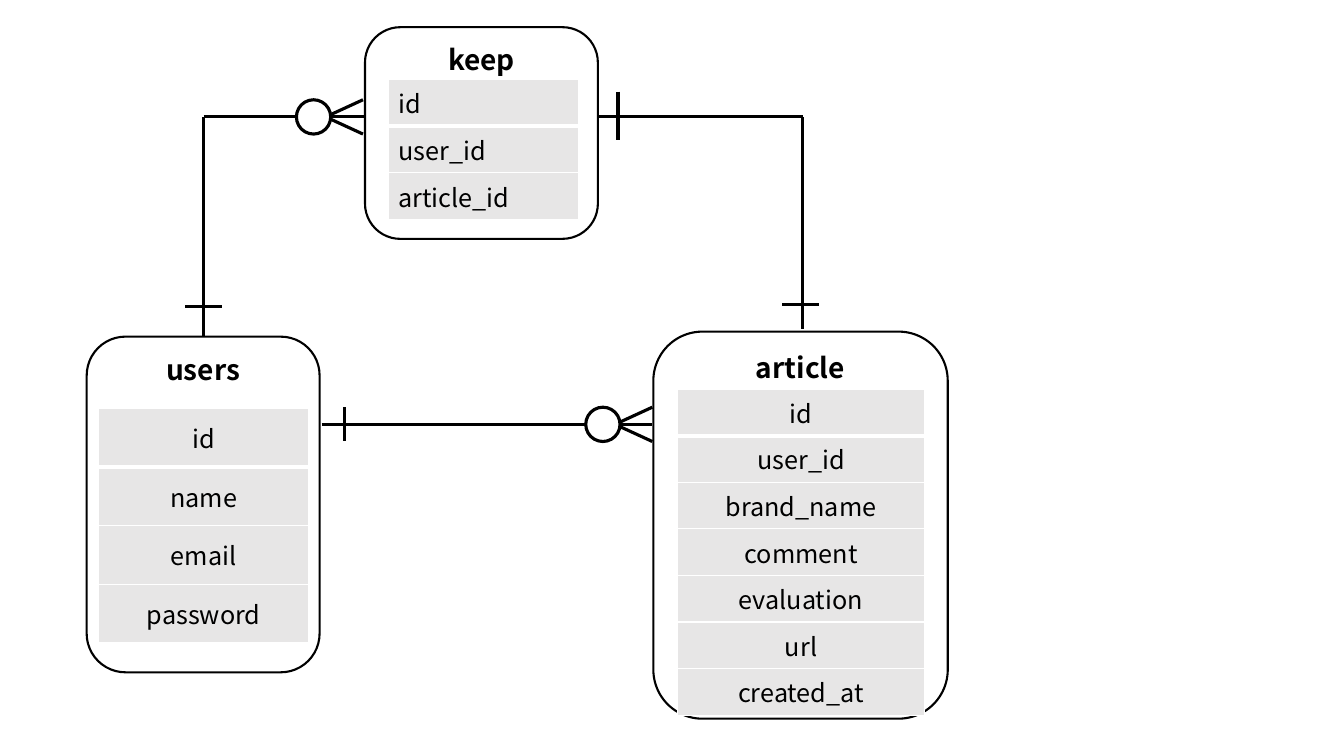
from lxml import etree
from pptx import Presentation, util as u
from pptx.dml.color import RGBColor
from pptx.enum import shapes, text as t
from pptx.oxml import ns

COLORS = {"ink": "000000", "paper": "FFFFFF", "row": "E7E6E6"}
FONT = "Noto Sans CJK JP"
COLOR = {name: RGBColor.from_string(value) for name, value in COLORS.items()}

presentation = Presentation()
presentation.slide_width, presentation.slide_height = u.Inches(13.33), u.Inches(7.5)
slide = presentation.slides.add_slide(presentation.slide_layouts[6])

# Square grid with 75 rows over the slide's height
CELL = presentation.slide_height / 75


def write(frame, words, size=18, bold=False, align=t.PP_ALIGN.CENTER):
    paragraph = frame.paragraphs[0]
    paragraph.alignment = align
    run = paragraph.add_run()
    run.text = words
    run.font.name, run.font.size, run.font.bold = FONT, u.Pt(size), bold
    run.font.color.rgb = COLOR["ink"]


def connect(*ends):
    line = slide.shapes.add_connector(
        shapes.MSO_CONNECTOR.STRAIGHT, *[round(end * CELL) for end in ends])
    line.line.color.rgb = COLOR["ink"]
    line.line.width = u.Pt(2.25)
    etree.SubElement(line._element.spPr, ns.qn("a:effectLst"))


# Entities: name, box, table, alignment, anchor, fields
CENTER, LEFT = t.PP_ALIGN.CENTER, t.PP_ALIGN.LEFT
MIDDLE, TOP = t.MSO_ANCHOR.MIDDLE, t.MSO_ANCHOR.TOP
entities = [
    ("article", (64.8, 32.9, 29.2, 38.4), (67.2, 38.6, 24.5, 28), CENTER, MIDDLE,
     ["id", "user_id", "brand_name", "comment", "evaluation", "url", "created_at"]),
    ("users", (8.6, 33.4, 23.1, 33.3), (9.8, 40.5, 20.8, 23.3), CENTER, MIDDLE,
     ["id", "name", "email", "password"]),
    ("keep", (36.2, 2.7, 23.1, 21), (38.5, 7.9, 18.9, 13.5), LEFT, TOP,
     ["id", "user_id", "article_id"]),
]
for name, box, area, align, anchor, fields in entities:
    entity = slide.shapes.add_shape(
        shapes.MSO_SHAPE.ROUNDED_RECTANGLE, *[round(side * CELL) for side in box])
    entity.shadow.inherit = False
    entity.fill.background()
    entity.line.color.rgb = COLOR["ink"]
    entity.line.width = u.Pt(1.5)
    entity.text_frame.vertical_anchor = TOP
    write(entity.text_frame, name, size=20, bold=True)

    table = slide.shapes.add_table(
        len(fields), 1, *[round(side * CELL) for side in area]).table
    table.horz_banding = False
    for index, field in enumerate(fields):
        cell = table.cell(index, 0)
        cell.vertical_anchor = anchor
        write(cell.text_frame, field, align=align)
        # White borders, thick below the first field
        thick = {0: "B", 1: "T"}.get(index)
        for side in "LRTB":
            border = etree.SubElement(
                cell._tc.get_or_add_tcPr(), ns.qn("a:ln" + side),
                w=str(u.Pt(3 if side == thick else 1)))
            fill = etree.SubElement(border, ns.qn("a:solidFill"))
            etree.SubElement(fill, ns.qn("a:srgbClr"), val=COLORS["paper"])
        cell.fill.solid()
        cell.fill.fore_color.rgb = COLOR["row"]

# Relations between the entities
USERS_X, ARTICLE_X, KEEP_Y, LOWER_Y = 20.2, 79.6, 11.6, 42.1
connect(31.9, LOWER_Y, 64.7, LOWER_Y)
connect(USERS_X, 33.4, USERS_X, KEEP_Y)
connect(USERS_X, KEEP_Y, 36.2, KEEP_Y)
connect(59.3, KEEP_Y, ARTICLE_X, KEEP_Y)
connect(ARTICLE_X, 32.6, ARTICLE_X, KEEP_Y)

# "One" marks: centre and half lengths across and down
for x, y, across, down in [(34.2, LOWER_Y, 0, 1.7), (61.3, 11.5, 0, 2.4),
                           (USERS_X, 30.4, 1.8, 0), (79.4, 30.2, 1.8, 0)]:
    connect(x - across, y - down, x + across, y + down)

# "Zero or many" marks: crow's foot and circle
SPREAD = 1.7
for x, y in [(64.7, LOWER_Y), (36, KEEP_Y)]:
    for offset in (-SPREAD, SPREAD):
        connect(x - 3.7, y, x, y + offset)
    circle = slide.shapes.add_shape(
        shapes.MSO_SHAPE.OVAL, round((x - 6.6) * CELL), round((y - SPREAD) * CELL),
        round(2 * SPREAD * CELL), round(2 * SPREAD * CELL))
    circle.shadow.inherit = False
    circle.fill.solid()
    circle.fill.fore_color.rgb = COLOR["paper"]
    circle.line.color.rgb = COLOR["ink"]
    circle.line.width = u.Pt(2.25)

presentation.save("out.pptx")
